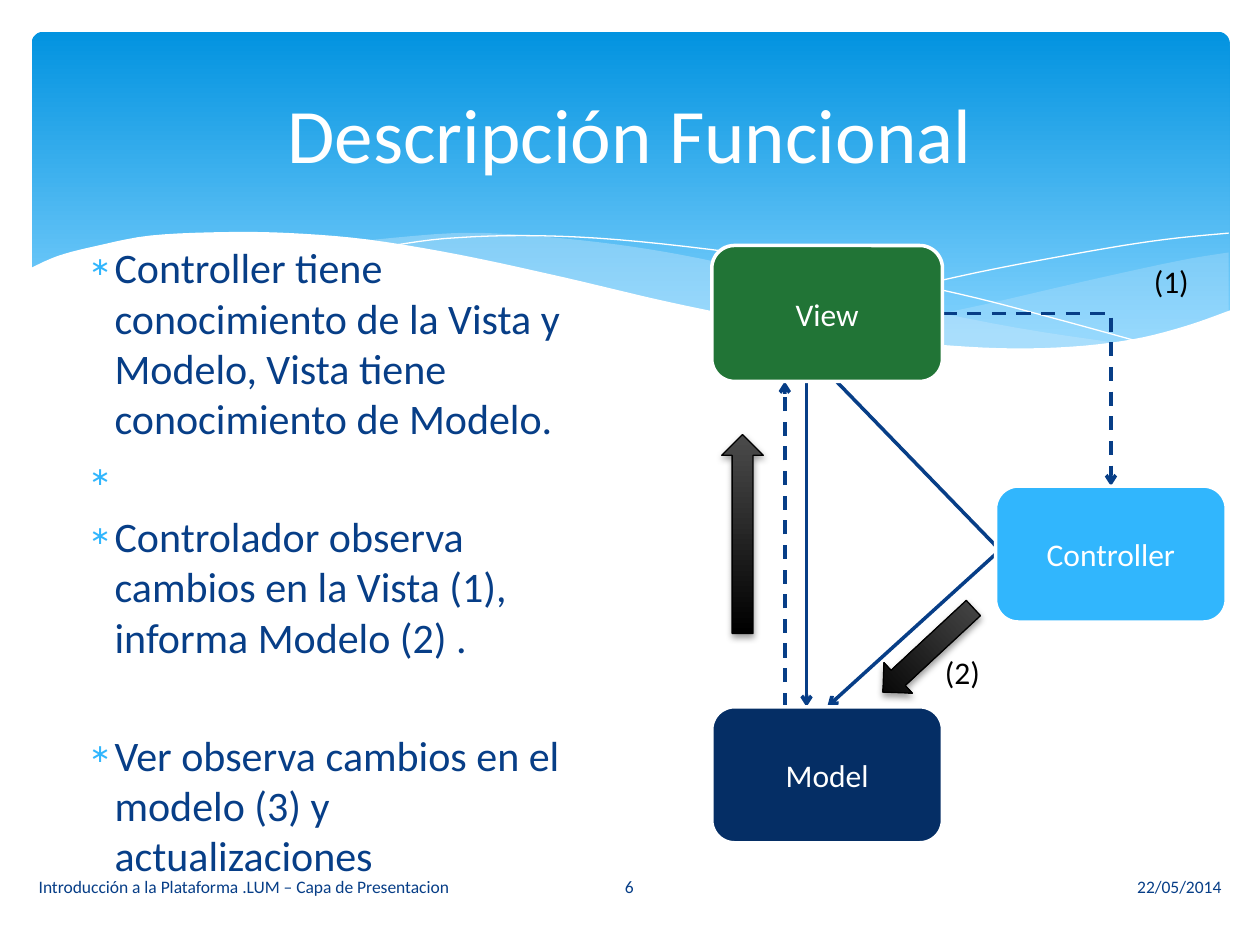
from lxml import etree
from pptx import Presentation
from pptx.dml.color import RGBColor
from pptx.enum.dml import MSO_LINE_DASH_STYLE as Dash
from pptx.enum.shapes import MSO_CONNECTOR as Connector, MSO_SHAPE as Shape
from pptx.enum.text import MSO_ANCHOR as Anchor, PP_ALIGN as Align
from pptx.oxml.ns import qn
from pptx.util import Cm, Pt

FONT = "Calibri"
COLORS = {
    "navy": "073E87", "sky": "31B6FD", "green": "217436", "deep": "052E65",
    "veil": "C6E7FC", "banner_top": "0293E0", "banner_bottom": "83D3FE",
    "gray": "4B4B4B", "black": "000000", "white": "FFFFFF",
}
MASK_TOP = [(-0.05, 4.78), (0.53, 4.52), (1.3, 4.32), (2.39, 4.11), (3.86, 4.04), (5.21, 4.06),
            (6.78, 4.19), (8.64, 4.5), (10.72, 4.95), (12.8, 5.44), (14.68, 5.82), (16.33, 6.1),
            (17.81, 6.27), (19.51, 6.38), (20.96, 6.35), (22.2, 6.2), (23.24, 5.94), (24.18, 5.61)]
MASK_BASE = [(24.18, 7.72), (-0.05, 7.72)]
RIGHT_TOP = [(24.13, 4.45), (23.11, 4.62), (21.23, 5.03), (19.15, 5.51), (17.3, 5.89), (16.15, 6.1)]
RIGHT_BASE = [(16.15, 6.1), (17.27, 6.25), (18.59, 6.38), (20.04, 6.43), (21.29, 6.35),
              (22.35, 6.2), (23.29, 5.94), (24.13, 5.64)]
LEFT_TOP = [(22.05, 6.3), (19.86, 5.97), (17.3, 5.46), (15.34, 5), (13.46, 4.57), (11.79, 4.29),
            (10.03, 4.11), (8.53, 4.06), (6.63, 4.22)]
LEFT_BASE = [(6.63, 4.22), (8.56, 4.52), (10.77, 5), (12.83, 5.46), (15.06, 5.92), (17.02, 6.22),
             (18.69, 6.4), (20.4, 6.43), (22.05, 6.3)]
FALLING_LINE = [(7.21, 4.32), (8.33, 4.17), (9.93, 4.11), (11.79, 4.19), (14.15, 4.45),
                (16.26, 4.78), (18.67, 5.28), (20.47, 5.74), (22.4, 6.27)]
RISING_LINE = [(14.94, 5.89), (17.02, 5.33), (19.08, 4.85), (21.36, 4.42), (22.83, 4.19), (24.13, 4.06)]
BULLETS = [
    ("Controller tiene conocimiento de la Vista y Modelo, Vista tiene conocimiento de Modelo.", 4.8),
    (" ", 4.8),
    ("Controlador observa cambios en la Vista (1), informa Modelo (2) .", 4.8),
    ("Ver observa cambios en el modelo (3) y actualizaciones", 38.5),
]


def rgb(name):
    """Return the named palette colour."""
    return RGBColor.from_string(COLORS[name])


def smooth(points, steps=5):
    """Return a Catmull-Rom curve through the points."""
    padded = [points[0], *points, points[-1]]
    curve = []
    for a, b, c, d in zip(padded, padded[1:], padded[2:], padded[3:]):
        for t in (step / steps for step in range(steps)):
            curve.append(tuple(
                0.5 * (2 * q + (r - p) * t + (2 * p - 5 * q + 4 * r - s) * t ** 2
                       + (3 * q - p - 3 * r + s) * t ** 3)
                for p, q, r, s in zip(a, b, c, d)))
    return curve + [points[-1]]


def add_outline(slide, box, points, fill=None, opacity=100):
    """Draw a filled wave, or a white hairline when there is no fill."""
    corners = [(Cm(box[0] + x), Cm(box[1] + y)) for x, y in points]
    builder = slide.shapes.build_freeform(*corners[0], scale=1.0)
    builder.add_line_segments(corners[1:], close=fill is not None)
    shape = builder.convert_to_shape()
    shape.shadow.inherit = False
    if fill is None:
        shape.fill.background()
        shape.line.color.rgb = rgb("white")
        shape.line.width = Pt(0)
        return
    shape.fill.solid()
    shape.fill.fore_color.rgb = rgb(fill)
    shape.line.fill.background()
    color = shape._element.spPr.find(qn("a:solidFill"))[0]
    etree.SubElement(color, qn("a:alpha")).set("val", str(opacity * 1000))


def set_gradient(shape, top, bottom, end=1.0):
    """Fill a shape with a downward gradient."""
    shape.fill.gradient()
    shape.fill.gradient_angle = 270
    for stop, name, position in zip(shape.fill.gradient_stops, (top, bottom), (0, end)):
        stop.color.rgb = rgb(name)
        stop.position = position


def format_text(paragraph, size, color, align=Align.LEFT):
    """Set font and alignment of a paragraph."""
    paragraph.alignment = align
    paragraph.font.name = FONT
    paragraph.font.size = Pt(size)
    paragraph.font.color.rgb = rgb(color)


def add_label(slide, box, text, size, color, align=Align.LEFT, anchor=Anchor.TOP):
    """Add a one-line text box."""
    frame = slide.shapes.add_textbox(*map(Cm, box)).text_frame
    frame.word_wrap = True
    frame.vertical_anchor = anchor
    frame.text = text
    format_text(frame.paragraphs[0], size, color, align)


def add_banner(slide, box):
    """Draw the blue banner with its waves."""
    panel = slide.shapes.add_shape(Shape.ROUNDED_RECTANGLE, *map(Cm, box))
    panel.adjustments[0] = 0.034
    panel.shadow.inherit = False
    panel.line.fill.background()
    set_gradient(panel, "banner_top", "banner_bottom", 0.9)
    add_outline(slide, box, smooth(RIGHT_TOP) + smooth(RIGHT_BASE), "veil", 29)
    add_outline(slide, box, smooth(LEFT_TOP) + smooth(LEFT_BASE), "veil", 40)
    add_outline(slide, box, smooth(FALLING_LINE))
    add_outline(slide, box, smooth(RISING_LINE))
    add_outline(slide, box, smooth(MASK_TOP) + MASK_BASE, "white")


def place_title(slide, box, text):
    """Place the title placeholder above the banner."""
    title = slide.shapes.title
    title.left, title.top, title.width, title.height = map(Cm, box)
    title.text_frame.text = text
    title.text_frame.vertical_anchor = Anchor.MIDDLE
    format_text(title.text_frame.paragraphs[0], 44, "white", Align.CENTER)
    slide.shapes._spTree.append(title._element)


def add_bullets(slide, box):
    """Write the bulleted description."""
    frame = slide.shapes.add_textbox(*map(Cm, box)).text_frame
    frame.word_wrap = True
    for index, (text, space) in enumerate(BULLETS):
        paragraph = frame.paragraphs[0] if index == 0 else frame.add_paragraph()
        paragraph.text = text
        format_text(paragraph, 24, "navy")
        paragraph.space_before = Pt(space)
        properties = paragraph._p.get_or_add_pPr()
        properties.set("marL", str(Cm(0.76)))
        properties.set("indent", str(Cm(-0.5)))
        bullet_color = etree.Element(qn("a:buClr"))
        etree.SubElement(bullet_color, qn("a:srgbClr")).set("val", COLORS["sky"])
        bullet_size = etree.Element(qn("a:buSzPct"), val="60000")
        bullet_font = etree.Element(qn("a:buFont"), typeface=FONT)
        bullet = etree.Element(qn("a:buChar"), char="∗")
        for offset, element in enumerate((bullet_color, bullet_size, bullet_font, bullet), start=1):
            properties.insert(offset, element)


def add_node(slide, box, text, fill):
    """Add one labelled component of the diagram."""
    shape = slide.shapes.add_shape(Shape.ROUNDED_RECTANGLE, *map(Cm, box))
    shape.shadow.inherit = False
    shape.fill.solid()
    shape.fill.fore_color.rgb = rgb(fill)
    shape.line.color.rgb = rgb("white")
    shape.line.width = Pt(2)
    shape.text_frame.text = text
    shape.text_frame.vertical_anchor = Anchor.MIDDLE
    format_text(shape.text_frame.paragraphs[0], 18, "white", Align.CENTER)
    return shape


def add_link(slide, start, end, dashed=False, kind=Connector.STRAIGHT):
    """Add an arrow between two points."""
    link = slide.shapes.add_connector(kind, *map(Cm, start + end))
    link.line.color.rgb = rgb("navy")
    link.line.width = Pt(2)
    if dashed:
        link.line.dash_style = Dash.DASH
    etree.SubElement(link.line._get_or_add_ln(), qn("a:tailEnd")).set("type", "arrow")
    etree.SubElement(link._element.spPr, qn("a:effectLst"))
    return link


def add_block_arrow(slide, kind, box, rotation=0):
    """Add a dark block arrow with a soft shadow."""
    arrow = slide.shapes.add_shape(kind, *map(Cm, box))
    arrow.rotation = rotation
    set_gradient(arrow, "gray", "black")
    arrow.line.color.rgb = rgb("black")
    arrow.line.width = Pt(0.75)
    arrow.shadow.inherit = False
    effects = arrow._element.spPr.find(qn("a:effectLst"))
    shadow = etree.SubElement(effects, qn("a:outerShdw"), blurRad=str(Pt(4)), dist=str(Pt(2)),
                              dir="5400000", rotWithShape="0")
    color = etree.SubElement(shadow, qn("a:srgbClr"), val=COLORS["black"])
    etree.SubElement(color, qn("a:alpha"), val="38000")


def add_diagram(slide, left, top):
    """Draw the View, Controller and Model diagram."""
    def at(x, y, *size):
        return (left + x, top + y, *size)

    size = (4.65, 2.74)
    controller = add_node(slide, at(5.72, 4.85, *size), "Controller", "sky")
    view = add_node(slide, at(0, 0, *size), "View", "green")
    model = add_node(slide, at(0, 9.3, *size), "Model", "deep")

    to_model = add_link(slide, at(5.72, 6.22), at(2.32, 9.3))
    to_model.begin_connect(controller, 1)
    to_model.end_connect(model, 0)
    add_link(slide, at(5.72, 6.05), at(2.32, 2.54))
    observed = add_link(slide, at(4.65, 1.37), at(8.04, 4.85), True, Connector.ELBOW)
    observed._element.spPr.find(qn("a:prstGeom")).set("prst", "bentConnector2")
    observed.begin_connect(view, 3)
    observed.end_connect(controller, 0)
    add_link(slide, at(1.47, 9.3), at(1.47, 2.74), True)
    add_link(slide, at(1.91, 2.74), at(1.91, 9.3))

    add_block_arrow(slide, Shape.UP_ARROW, at(0.2, 3.81, 0.84, 4.01))
    add_block_arrow(slide, Shape.DOWN_ARROW, at(3.94, 6.91, 0.84, 2.49), 47.1)
    for x, y, text in ((4.45, 8.08, "(2)"), (8.66, 0.21, "(1)")):
        add_label(slide, at(x, y, 1.47, 1.02), text, 18, "black")
    for node in (controller, view, model):
        slide.shapes._spTree.append(node._element)


def add_footer(slide, top, height):
    """Write the footer, slide number and date."""
    for left, width, text, align in (
            (0.53, 10.52, "Introducción a la Plataforma .LUM – Capa de Presentacion", Align.LEFT),
            (11.07, 3.23, "6", Align.CENTER), (14.35, 10.52, "22/05/2014", Align.RIGHT)):
        add_label(slide, (left, top, width, height), text, 10, "navy", align, Anchor.MIDDLE)


def main():
    """Build and save the presentation."""
    presentation = Presentation()
    presentation.slide_width, presentation.slide_height = Cm(25.4), Cm(19.05)
    slide = presentation.slides.add_slide(presentation.slide_layouts[5])
    add_banner(slide, (0.64, 0.64, 24.15, 6.86))
    place_title(slide, (1.27, 0.94, 22.86, 3.48), "Descripción Funcional")
    add_bullets(slide, (1.3, 4.75, 10.8, 12.27))
    add_footer(slide, 17.37, 1.02)
    add_diagram(slide, 14.35, 4.95)
    presentation.save("out.pptx")


if __name__ == "__main__":
    main()
